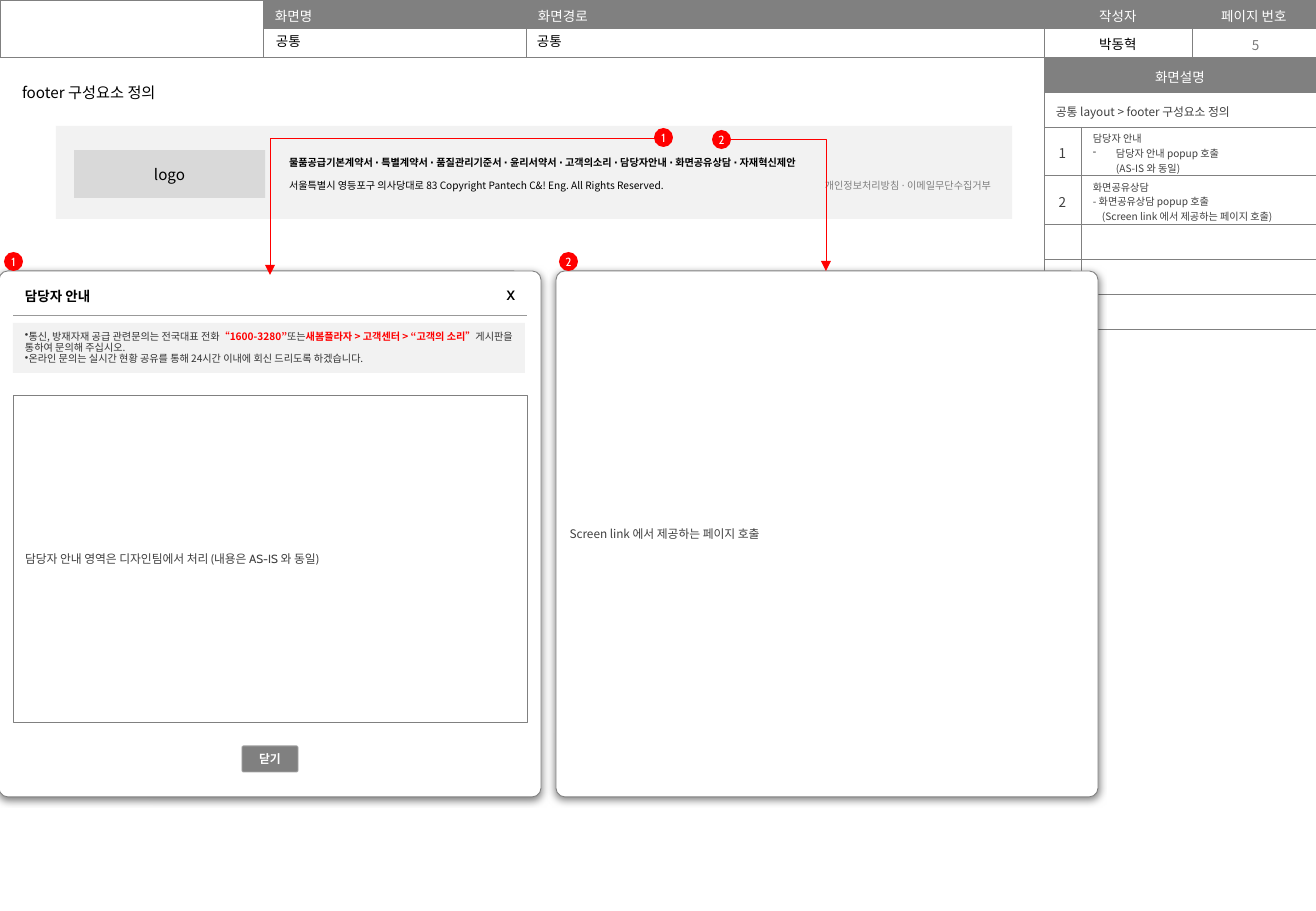
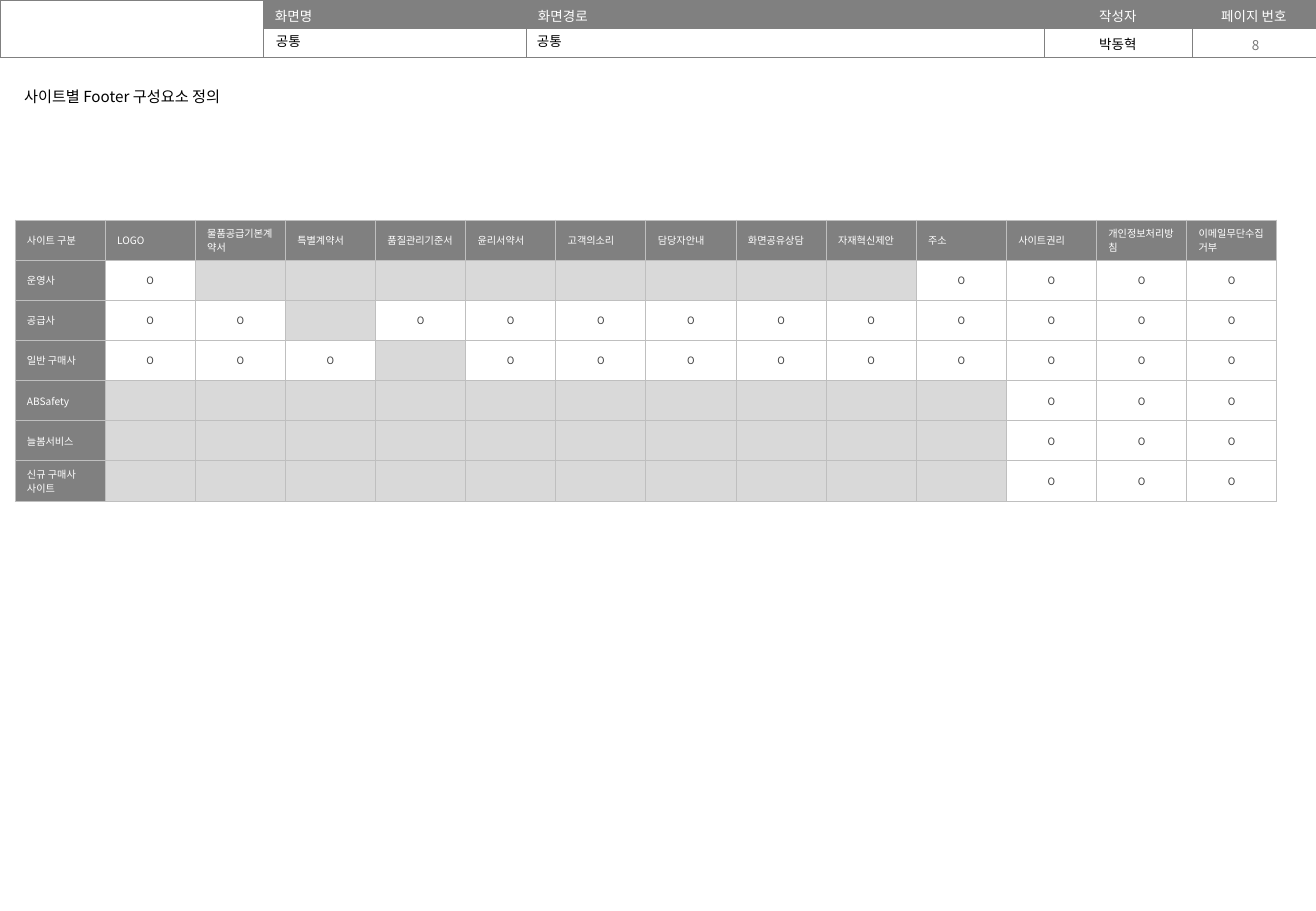
import pptx
import pptx.dml.color
import pptx.enum.shapes
import pptx.enum.text
import pptx.oxml.ns
import pptx.util
from lxml import etree

RGB = pptx.dml.color.RGBColor
ALIGN = pptx.enum.text.PP_ALIGN
ANCHOR = pptx.enum.text.MSO_ANCHOR
SHAPE = pptx.enum.shapes.MSO_SHAPE
CONNECTOR = pptx.enum.shapes.MSO_CONNECTOR
Pt = pptx.util.Pt
qn = pptx.oxml.ns.qn

BLACK = RGB(0x00, 0x00, 0x00)
WHITE = RGB(0xFF, 0xFF, 0xFF)
GRAY = RGB(0x80, 0x80, 0x80)
DARK = RGB(0x40, 0x40, 0x40)
NOTICE_INK = RGB(0x33, 0x33, 0x33)
PAGE_INK = RGB(0x79, 0x79, 0x79)
PANEL = RGB(0xF2, 0xF2, 0xF2)
BLANK = RGB(0xD9, 0xD9, 0xD9)
BUTTON_EDGE = RGB(0xA6, 0xA6, 0xA6)
GRID = RGB(0xBF, 0xBF, 0xBF)
RULE = RGB(0x99, 0x99, 0x99)
RED = RGB(0xFF, 0x00, 0x00)
NOTO = "Noto Sans CJK KR"
CABIN = "Cabin"
SCALE = 914400 / 121.5
SLIDE_W, SLIDE_H = 1316, 911

HEADINGS = ["화면명", "화면경로", "작성자", "페이지 번호"]
AUTHOR = "박동혁"
SCREEN = "공통"

FOOTER_TITLE = "footer 구성요소 정의"
FOOTER_LINKS = "물품공급기본계약서 ⋅ 특별계약서 ⋅ 품질관리기준서 ⋅ 윤리서약서 ⋅ 고객의소리 ⋅ 담당자안내 ⋅ 화면공유상담 ⋅ 자재혁신제안"
FOOTER_ADDRESS = "서울특별시 영등포구 의사당대로 83 Copyright Pantech C&! Eng. All Rights Reserved."
FOOTER_POLICY = "개인정보처리방침 ⋅ 이메일무단수집거부"
SHARING_PAGE = "Screen link 에서 제공하는 페이지 호출"
EXPLANATIONS = [
    ["담당자 안내", {"runs": [("담당자 안내 popup 호출\n(AS-IS 와 동일)", {})],
                "bullet": "-", "indent": 23}],
    ["화면공유상담", {"runs": [(f"- 화면공유상담 popup 호출\n({SHARING_PAGE})", {})],
                "indent": 9}],
]
EMPHASIS = {"color": RED, "bold": True}
NOTICES = [
    {"bullet": "•", "spacing": 0.92, "runs": [
        ("통신, 방재자재 공급 관련문의는 전국대표 전화", {}),
        ("“1600-3280”", EMPHASIS),
        ("또는", {}),
        ("새봄플라자 > 고객센터 > “고객의 소리”", EMPHASIS),
        ("게시판을 통하여 문의해 주십시오.", {})]},
    {"bullet": "•", "spacing": 0.92, "runs": [
        ("온라인 문의는 실시간 현황 공유를 통해 24시간 이내에 회신 드리도록 하겠습니다.", {})]},
]
BADGES = [("1", 654, 128), ("2", 712, 130), ("1", 4, 252), ("2", 559, 252)]

SITE_TITLE = "사이트별 Footer 구성요소 정의"
SITE_COLUMNS = ["사이트 구분", "LOGO", "물품공급기본계약서", "특별계약서", "품질관리기준서",
                "윤리서약서", "고객의소리", "담당자안내", "화면공유상담", "자재혁신제안",
                "주소", "사이트권리", "개인정보처리방침", "이메일무단수집거부"]
SITES = [
    ("운영사", "O--------OOOO"),
    ("공급사", "OO-OOOOOOOOOO"),
    ("일반 구매사", "OOO-OOOOOOOOO"),
    ("ABSafety", "----------OOO"),
    ("늘봄서비스", "----------OOO"),
    ("신규 구매사 사이트", "----------OOO"),
]


def px(length):
    return round(length * SCALE)


def box(at):
    return [px(length) for length in at]


def add_run(paragraph, text, size, color, font, bold):
    run = paragraph.add_run()
    run.text = text
    run.font.size = Pt(size)
    run.font.bold = bold
    run.font.color.rgb = color
    run.font.name = font
    etree.SubElement(run.font._element, qn("a:ea")).set("typeface", NOTO)


def write(frame, paragraphs, align=ALIGN.LEFT, size=8, color=BLACK, font=NOTO, bold=False):
    base = {"size": size, "color": color, "font": font, "bold": bold}
    if not paragraphs:
        end = etree.SubElement(frame.paragraphs[0]._p, qn("a:endParaRPr"))
        end.set("sz", "600")
    for index, content in enumerate(paragraphs):
        if isinstance(content, str):
            content = {"runs": [(content, {})]}
        paragraph = frame.add_paragraph() if index else frame.paragraphs[0]
        paragraph.alignment = align
        properties = paragraph._p.get_or_add_pPr()
        indent = px(content.get("indent", 0))
        properties.set("marL", str(indent))
        properties.set("indent", str(-indent))
        if "bullet" in content:
            etree.SubElement(properties, qn("a:buChar")).set("char", content["bullet"])
        if "spacing" in content:
            paragraph.line_spacing = content["spacing"]
        if "before" in content:
            paragraph.space_before = Pt(content["before"])
        for text, changes in content["runs"]:
            for part, line in enumerate(text.split("\n")):
                if part:
                    paragraph.add_line_break()
                add_run(paragraph, line, **{**base, **changes})


def set_margins(target, margins):
    (target.margin_left, target.margin_top,
     target.margin_right, target.margin_bottom) = box(margins)


def add_label(slide, at, text, margins=(12, 6, 12, 4), anchor=ANCHOR.TOP, **style):
    frame = slide.shapes.add_textbox(*box(at)).text_frame
    frame.word_wrap = True
    frame.vertical_anchor = anchor
    set_margins(frame, margins)
    write(frame, [text], **style)


def add_panel(slide, at, paragraphs=(), fill=None, edge=None, width=0.5, corner=0,
              inset=12, shadow=False, **style):
    panel = slide.shapes.add_shape(SHAPE.ROUNDED_RECTANGLE, *box(at))
    panel.adjustments[0] = corner
    panel.shadow.inherit = False
    if fill is None:
        panel.fill.background()
    else:
        panel.fill.solid()
        panel.fill.fore_color.rgb = fill
    if edge is None:
        panel.line.fill.background()
    else:
        panel.line.color.rgb = edge
        panel.line.width = Pt(width)
    if shadow:
        effects = panel._element.spPr.find(qn("a:effectLst"))
        outer = etree.SubElement(effects, qn("a:outerShdw"), blurRad=str(Pt(4.5)),
                                 dist=str(Pt(1.5)), dir="5400000", rotWithShape="0")
        tint = etree.SubElement(outer, qn("a:srgbClr"), val=str(BLACK))
        etree.SubElement(tint, qn("a:alpha"), val="49000")
    if paragraphs:
        frame = panel.text_frame
        frame.word_wrap = True
        frame.vertical_anchor = ANCHOR.MIDDLE
        set_margins(frame, [inset] * 4)
        write(frame, paragraphs, **style)


def set_borders(cell, color, width, sides):
    properties = cell._tc.get_or_add_tcPr()
    for index, side in enumerate("LRTB"):
        line = etree.Element(qn("a:ln" + side), w=str(Pt(width)))
        if side in sides:
            fill = etree.SubElement(line, qn("a:solidFill"))
            etree.SubElement(fill, qn("a:srgbClr"), val=str(color))
        else:
            etree.SubElement(line, qn("a:noFill"))
        properties.insert(index, line)


def add_grid(slide, left, top, columns, heights, cells, edge=GRAY, width=0.25, sides="LRTB",
             margins=(12, 5, 12, 0), anchor=ANCHOR.MIDDLE, merges=()):
    at = box((left, top, sum(columns), sum(heights)))
    table = slide.shapes.add_table(len(heights), len(columns), *at).table
    table.first_row = table.horz_banding = False
    for column, length in zip(table.columns, columns):
        column.width = px(length)
    for row, length in zip(table.rows, heights):
        row.height = px(length)
    for r in range(len(heights)):
        for c in range(len(columns)):
            cell = table.cell(r, c)
            content = dict(cells.get((r, c), {}))
            fill = content.pop("fill", None)
            if fill is None:
                cell.fill.background()
            else:
                cell.fill.solid()
                cell.fill.fore_color.rgb = fill
            cell.vertical_anchor = anchor
            set_margins(cell, margins)
            write(cell.text_frame, content.pop("text", []), **content)
            set_borders(cell, edge, width, sides)
    for first, last in merges:
        table.cell(*first).merge(table.cell(*last))


def add_arrow(slide, start, end):
    arrow = slide.shapes.add_connector(CONNECTOR.ELBOW, *box(start + end))
    arrow.line.color.rgb = RED
    arrow.line.width = Pt(0.5)
    properties = arrow._element.spPr
    properties.find(qn("a:prstGeom")).set("prst", "bentConnector2")
    if end[0] < start[0]:
        transform = properties.find(qn("a:xfrm"))
        transform.attrib.pop("flipH")
        transform.set("rot", "10800000")
        transform.set("flipV", "1")
    etree.SubElement(properties.find(qn("a:ln")), qn("a:tailEnd"), type="triangle")
    etree.SubElement(properties, qn("a:effectLst"))


def add_badge(slide, number, left, top):
    add_panel(slide, (left, top, 19, 19), [number], fill=RED, corner=0.5, inset=0,
              size=7, color=WHITE, font=CABIN, align=ALIGN.CENTER)


def start_slide(deck, page, title, title_at):
    slide = deck.slides.add_slide(deck.slide_layouts[6])
    cells = {(0, c): {"text": [heading], "fill": GRAY, "color": WHITE,
                      "align": ALIGN.CENTER if c > 2 else ALIGN.LEFT}
             for c, heading in enumerate(HEADINGS, 1)}
    cells[1, 3] = {"text": [AUTHOR], "align": ALIGN.CENTER}
    add_grid(slide, 0, 0, [263, 263, 518, 148, 124], [28, 29], cells,
             margins=(12, 6, 12, 0), anchor=ANCHOR.TOP, merges=[((0, 0), (1, 0))])
    add_label(slide, (1195, 30, 121, 29), page, anchor=ANCHOR.MIDDLE,
              align=ALIGN.CENTER, color=PAGE_INK)
    for left, width in ((264, 261), (525, 519)):
        add_label(slide, (left, 27, width, 29), SCREEN)
    add_panel(slide, title_at, [title], size=9)
    return slide


def build_footer_slide(deck):
    slide = start_slide(deck, "5", FOOTER_TITLE, (10, 69, 191, 47))
    cells = {
        (0, 0): {"text": ["화면설명"], "fill": GRAY, "color": WHITE, "align": ALIGN.CENTER},
        (1, 0): {"text": ["공통 layout > footer 구성요소 정의"], "size": 7, "color": DARK},
    }
    for number, explanation in enumerate(EXPLANATIONS, 1):
        cells[number + 1, 0] = {"text": [str(number)], "color": DARK, "align": ALIGN.CENTER}
        cells[number + 1, 1] = {"text": explanation, "size": 6, "color": DARK}
    add_grid(slide, 1044, 57, [37, 235], [35, 35, 48, 49, 35, 35, 35], cells,
             margins=(12, 4, 12, 0), merges=[((r, 0), (r, 1)) for r in (0, 1)])

    add_panel(slide, (56, 126, 956, 93), fill=PANEL)
    add_panel(slide, (74, 150, 191, 48), ["logo"], fill=BLANK, size=9, align=ALIGN.CENTER)
    add_panel(slide, (277, 150, 584, 48), [
        {"runs": [(FOOTER_LINKS, {"bold": True})]},
        {"runs": [(FOOTER_ADDRESS, {})], "before": 6}], size=6)
    add_panel(slide, (730, 173, 261, 24), [FOOTER_POLICY], inset=0, size=6, color=GRAY,
              align=ALIGN.RIGHT)

    popup = {"fill": WHITE, "edge": GRAY, "corner": 0.017, "shadow": True}
    add_panel(slide, (-1, 271, 542, 526), **popup)
    add_panel(slide, (242, 746, 56, 26), ["닫기"], fill=GRAY, edge=BUTTON_EDGE, corner=0.058,
              size=7, color=WHITE, bold=True, align=ALIGN.CENTER)
    title_style = {"font": CABIN, "bold": True}
    add_grid(slide, 13, 275, [257, 257], [40], {
        (0, 0): {"text": ["담당자 안내"], **title_style},
        (0, 1): {"text": ["X"], "align": ALIGN.RIGHT, **title_style},
    }, edge=RULE, width=0.5, sides="B", margins=(12, 8, 12, 6))
    add_panel(slide, (13, 395, 514, 327), ["담당자 안내 영역은 디자인팀에서 처리 (내용은 AS-IS 와 동일)"],
              fill=WHITE, edge=GRAY, width=0.25, size=7, color=DARK, font=CABIN)
    add_panel(slide, (13, 323, 512, 50), NOTICES, fill=PANEL, size=6, color=NOTICE_INK)
    add_panel(slide, (556, 271, 542, 526), [SHARING_PAGE], inset=11, size=7, color=DARK, **popup)
    add_arrow(slide, (655, 138), (270, 275))
    add_arrow(slide, (731, 139), (826, 271))
    for badge in BADGES:
        add_badge(slide, *badge)


def build_site_slide(deck):
    slide = start_slide(deck, "8", SITE_TITLE, (12, 73, 253, 47))
    heading = {"fill": GRAY, "size": 6, "color": WHITE}
    cells = {(0, c): {"text": [name], **heading} for c, name in enumerate(SITE_COLUMNS)}
    for r, (site, marks) in enumerate(SITES, 1):
        cells[r, 0] = {"text": [site], **heading}
        for c, mark in enumerate(marks, 1):
            cells[r, c] = {"fill": BLANK}
            if mark == "O":
                cells[r, c] = {"text": [mark], "fill": WHITE, "size": 6, "color": DARK,
                               "align": ALIGN.CENTER}
    columns, rows = len(SITE_COLUMNS), len(SITES) + 1
    add_grid(slide, 15, 220, [1262 / columns] * columns, [281 / rows] * rows, cells,
             edge=GRID, width=0.5, margins=(12, 5, 12, 5))


def main():
    deck = pptx.Presentation()
    deck.slide_width, deck.slide_height = px(SLIDE_W), px(SLIDE_H)
    build_footer_slide(deck)
    build_site_slide(deck)
    deck.save("out.pptx")


if __name__ == "__main__":
    main()
